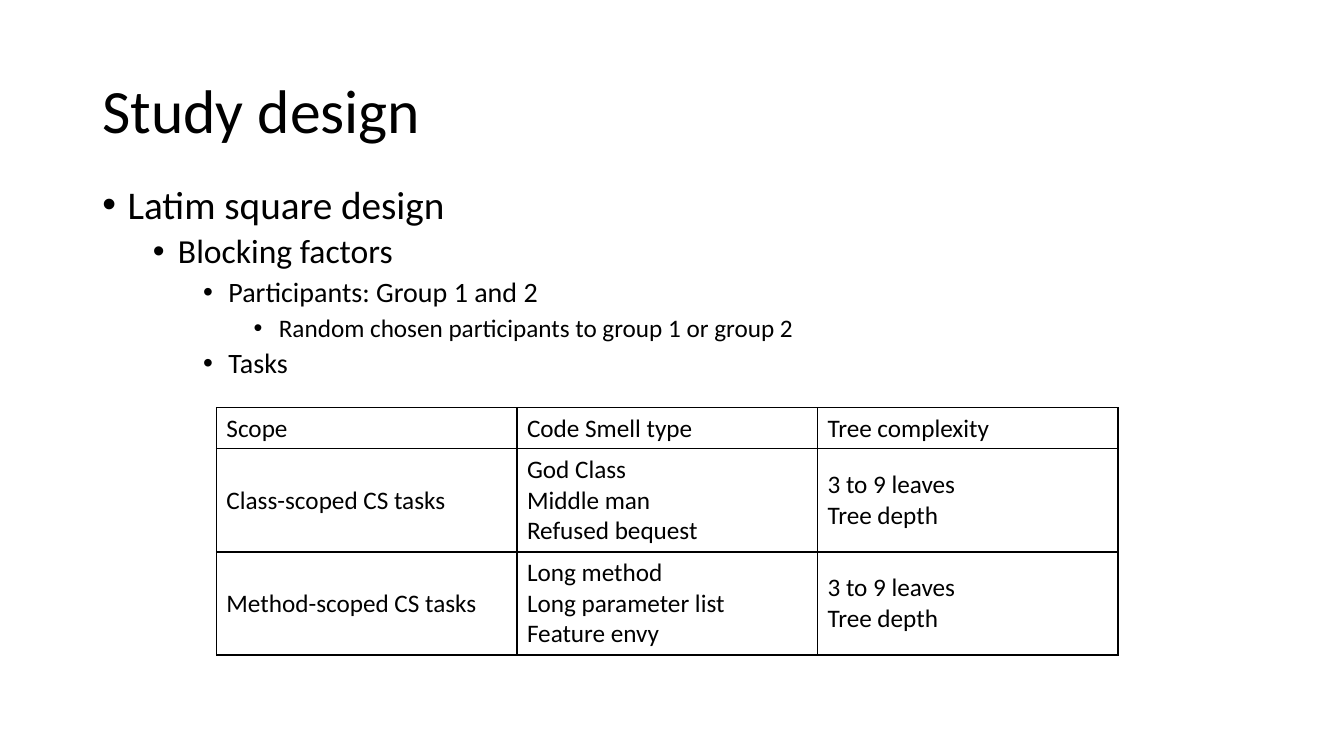
from dataclasses import dataclass

import pptx
import pptx.dml.color
import pptx.enum.text
import pptx.oxml
import pptx.oxml.ns
import pptx.presentation
import pptx.slide
import pptx.table
import pptx.text.text
import pptx.util

BLACK = pptx.dml.color.RGBColor(0, 0, 0)
WHITE = pptx.dml.color.RGBColor(255, 255, 255)
FONT = "Calibri"
WIDTH = pptx.util.Inches(13.33)
HEIGHT = pptx.util.Inches(7.5)
MIDDLE = pptx.enum.text.MSO_ANCHOR.MIDDLE
INDENT = 0.25  # inches from bullet to text
LEVEL_STEP = 0.5  # inches between outline levels
LEVEL_SIZES = (28, 24, 20, 18)


@dataclass(frozen=True)
class Box:
    """A place on the slide, in percent of its width and height."""
    left: float
    top: float
    width: float
    height: float

    def emu(self) -> tuple[int, int, int, int]:
        return (round(WIDTH * self.left / 100), round(HEIGHT * self.top / 100),
                round(WIDTH * self.width / 100), round(HEIGHT * self.height / 100))


@dataclass(frozen=True)
class Bullet:
    level: int
    text: str


TITLE_BOX = Box(6.88, 5.33, 86.25, 19.33)
BODY_BOX = Box(6.88, 23.9, 86.25, 66.1)
TABLE_BOX = Box(16.1, 53.95, 67.1, 32.7)
ROW_SHARES = (0.166, 0.417, 0.417)

BULLETS = (
    Bullet(0, "Latim square design"),
    Bullet(1, "Blocking factors"),
    Bullet(2, "Participants: Group 1 and 2"),
    Bullet(3, "Random chosen participants to group 1 or group 2"),
    Bullet(2, "Tasks"),
)

COMPLEXITY = "3 to 9 leaves\nTree depth"
TASK_ROWS = (
    ("Scope", "Code Smell type", "Tree complexity"),
    ("Class-scoped CS tasks", "God Class\nMiddle man\nRefused bequest", COMPLEXITY),
    ("Method-scoped CS tasks", "Long method\nLong parameter list\nFeature envy", COMPLEXITY),
)


def set_font(p: pptx.text.text._Paragraph, size: float) -> None:
    p.font.name = FONT
    p.font.size = pptx.util.Pt(size)
    p.font.color.rgb = BLACK


def add_text_frame(s: pptx.slide.Slide, box: Box) -> pptx.text.text.TextFrame:
    tf = s.shapes.add_textbox(*box.emu()).text_frame
    tf.word_wrap = True
    return tf


def add_title(s: pptx.slide.Slide, text: str) -> None:
    tf = add_text_frame(s, TITLE_BOX)
    tf.vertical_anchor = MIDDLE
    p = tf.paragraphs[0]
    p.text = text
    p.line_spacing = 0.9
    set_font(p, 44)


def add_bullets(s: pptx.slide.Slide, bullets: tuple[Bullet, ...]) -> None:
    tf = add_text_frame(s, BODY_BOX)
    for i, bullet in enumerate(bullets):
        p = tf.add_paragraph() if i else tf.paragraphs[0]
        p.text = bullet.text
        p.level = bullet.level
        p.line_spacing = 0.9
        p.space_before = pptx.util.Pt(5 if bullet.level else 10)
        set_font(p, LEVEL_SIZES[bullet.level])
        # Bullet mark with a hanging indent
        pPr = p._p.get_or_add_pPr()
        pPr.set("marL", str(pptx.util.Inches(INDENT + LEVEL_STEP * bullet.level)))
        pPr.set("indent", str(-pptx.util.Inches(INDENT)))
        ns = pptx.oxml.ns.nsdecls("a")
        mark = (f'<a:buFont {ns} typeface="Arial"/>', f'<a:buChar {ns} char="•"/>')
        for i_mark, xml in enumerate(mark):
            pPr.insert_element_before(pptx.oxml.parse_xml(xml), "a:tabLst", "a:defRPr", "a:extLst")


def set_borders(cell: pptx.table._Cell) -> None:
    tcPr = cell._tc.get_or_add_tcPr()
    for i, side in enumerate(("lnL", "lnR", "lnT", "lnB")):
        tcPr.insert(i, pptx.oxml.parse_xml(
            f'<a:{side} {pptx.oxml.ns.nsdecls("a")} w="{pptx.util.Pt(1)}">'
            f'<a:solidFill><a:srgbClr val="{BLACK}"/></a:solidFill></a:{side}>'))


def add_task_table(s: pptx.slide.Slide, rows: tuple[tuple[str, ...], ...]) -> None:
    frame = s.shapes.add_table(len(rows), len(rows[0]), *TABLE_BOX.emu())
    table = frame.table
    table.first_row = table.horz_banding = False
    table_height = TABLE_BOX.emu()[3]
    for row, share, texts in zip(table.rows, ROW_SHARES, rows):
        row.height = round(table_height * share)
        for cell, text in zip(row.cells, texts):
            cell.text = text
            cell.vertical_anchor = MIDDLE
            cell.fill.background()
            set_borders(cell)
            for p in cell.text_frame.paragraphs:
                set_font(p, 18)


def build() -> pptx.presentation.Presentation:
    prs = pptx.Presentation()
    prs.slide_width, prs.slide_height = WIDTH, HEIGHT
    s = prs.slides.add_slide(prs.slide_layouts[6])
    s.background.fill.solid()
    s.background.fill.fore_color.rgb = WHITE
    # Heading and outline
    add_title(s, "Study design")
    add_bullets(s, BULLETS)
    # Tasks by scope
    add_task_table(s, TASK_ROWS)
    return prs


if __name__ == "__main__":
    build().save("out.pptx")
